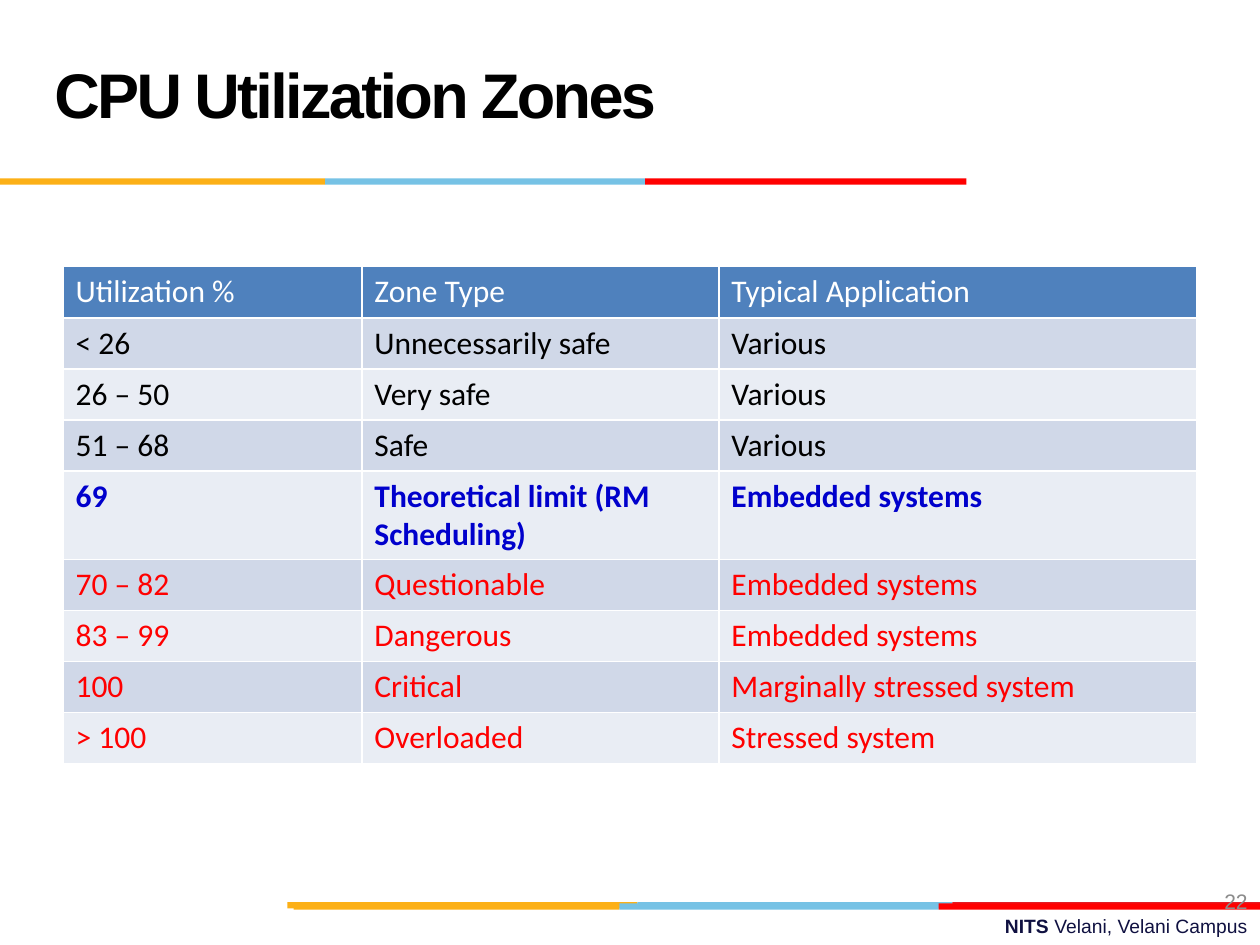
from itertools import pairwise

from lxml import etree
from pptx import Presentation
from pptx.dml.color import RGBColor
from pptx.enum import shapes, text
from pptx.oxml.ns import qn
from pptx.util import Pt

AMBER, SKY, RED, CRIMSON = "FCB017", "76C2E5", "FF0000", "E31C24"
BLACK, WHITE, BLUE = "000000", "FFFFFF", "0000CC"
HEADER_FILL, BAND_FILLS = "4F81BD", ("E9EDF4", "D0D8E8")

HEADINGS = ("Utilization %", "Zone Type", "Typical Application")
ZONES = (
    ("< 26", "Unnecessarily safe", "Various", BLACK),
    ("26 – 50", "Very safe", "Various", BLACK),
    ("51 – 68", "Safe", "Various", BLACK),
    ("69", "Theoretical limit (RM Scheduling)", "Embedded systems", BLUE),
    ("70 – 82", "Questionable", "Embedded systems", RED),
    ("83 – 99", "Dangerous", "Embedded systems", RED),
    ("100", "Critical", "Marginally stressed system", RED),
    ("> 100", "Overloaded", "Stressed system", RED),
)


def rgb(colour):
    return RGBColor.from_string(colour)


def style(run, size, colour, bold=False, font="Arial"):
    run.font.name = font
    run.font.size = Pt(size)
    run.font.bold = bold
    run.font.color.rgb = rgb(colour)


def add_text(slide, box, pieces, size, colour, align, anchor):
    """Place one paragraph made of (wording, bold) pieces."""
    frame = slide.shapes.add_textbox(*map(Pt, box)).text_frame
    frame.word_wrap = True
    frame.vertical_anchor = anchor
    paragraph = frame.paragraphs[0]
    paragraph.alignment = align
    for wording, bold in pieces:
        run = paragraph.add_run()
        run.text = wording
        style(run, size, colour, bold)
    return paragraph


def add_stripe(slide, top, edges, colours, height=3.6):
    """Draw one coloured bar between each pair of neighbouring edges."""
    for (left, right), colour in zip(pairwise(edges), colours):
        bar = slide.shapes.add_shape(
            shapes.MSO_SHAPE.RECTANGLE, Pt(left), Pt(top), Pt(right - left), Pt(height))
        bar.shadow.inherit = False
        bar.fill.solid()
        bar.fill.fore_color.rgb = rgb(colour)
        bar.line.fill.background()


def add_footer(slide, left, top, width):
    add_text(slide, (left, top, width, 20.9),
             (("NITS ", True), ("Velani, Velani Campus", False)), 11, "101141",
             text.PP_ALIGN.RIGHT, text.MSO_ANCHOR.TOP)
    add_stripe(slide, top - 3.6, (left - 93.6, 364.3, 544.3, left + width),
               (AMBER, SKY, CRIMSON))
    add_stripe(slide, top - 2.9, (left - 90, 353.9, 536.4, left + width),
               (AMBER, SKY, RED))


def add_page_number(slide, box):
    add_text(slide, box, (("22", False),), 12, "8C8C8C",
             text.PP_ALIGN.RIGHT, text.MSO_ANCHOR.MIDDLE)


def add_title(slide, left, top, width, height):
    title = add_text(slide, (left, top, width, height),
                     (("CPU Utilization Zones", True),), 36, BLACK,
                     text.PP_ALIGN.LEFT, text.MSO_ANCHOR.MIDDLE)
    title.line_spacing = Pt(36)
    title.runs[0].font._element.set("spc", "-150")
    add_stripe(slide, top + height, (0, 185.8, 368.6, 552.2), (AMBER, SKY, RED))


def add_borders(cell, colour=WHITE, width=1):
    properties = cell._tc.get_or_add_tcPr()
    for index, side in enumerate(("lnL", "lnR", "lnT", "lnB")):
        line = etree.Element(qn(f"a:{side}"), w=str(Pt(width)))
        fill = etree.SubElement(line, qn("a:solidFill"))
        etree.SubElement(fill, qn("a:srgbClr"), val=colour)
        properties.insert(index, line)


def fill_cell(cell, wording, fill, colour, bold):
    cell.text_frame.text = wording
    style(cell.text_frame.paragraphs[0].runs[0], 18, colour, bold, "Calibri")
    cell.fill.solid()
    cell.fill.fore_color.rgb = rgb(fill)
    add_borders(cell)


def add_zone_table(slide, left, top, column_widths, row_height):
    rows = ((*HEADINGS, WHITE), *ZONES)
    table = slide.shapes.add_table(
        len(rows), len(HEADINGS), Pt(left), Pt(top),
        Pt(sum(column_widths)), Pt(row_height * len(rows))).table
    for column, width in zip(table.columns, column_widths):
        column.width = Pt(width)
    for r, (*wordings, colour) in enumerate(rows):
        table.rows[r].height = Pt(row_height)
        fill = BAND_FILLS[r % 2] if r else HEADER_FILL
        for c, wording in enumerate(wordings):
            fill_cell(table.cell(r, c), wording, fill, colour, colour == BLUE)


def main():
    deck = Presentation()
    deck.slide_width, deck.slide_height = Pt(720), Pt(540)
    slide = deck.slides.add_slide(deck.slide_layouts[6])
    add_footer(slide, 257.8, 519.1, 462.2)
    add_title(slide, 24, 12, 498, 90)
    add_page_number(slide, (552, 500.4, 168, 28.8))
    add_zone_table(slide, 36, 152.4, (170.8, 204, 273.2), 29.2)
    deck.save("out.pptx")


if __name__ == "__main__":
    main()
